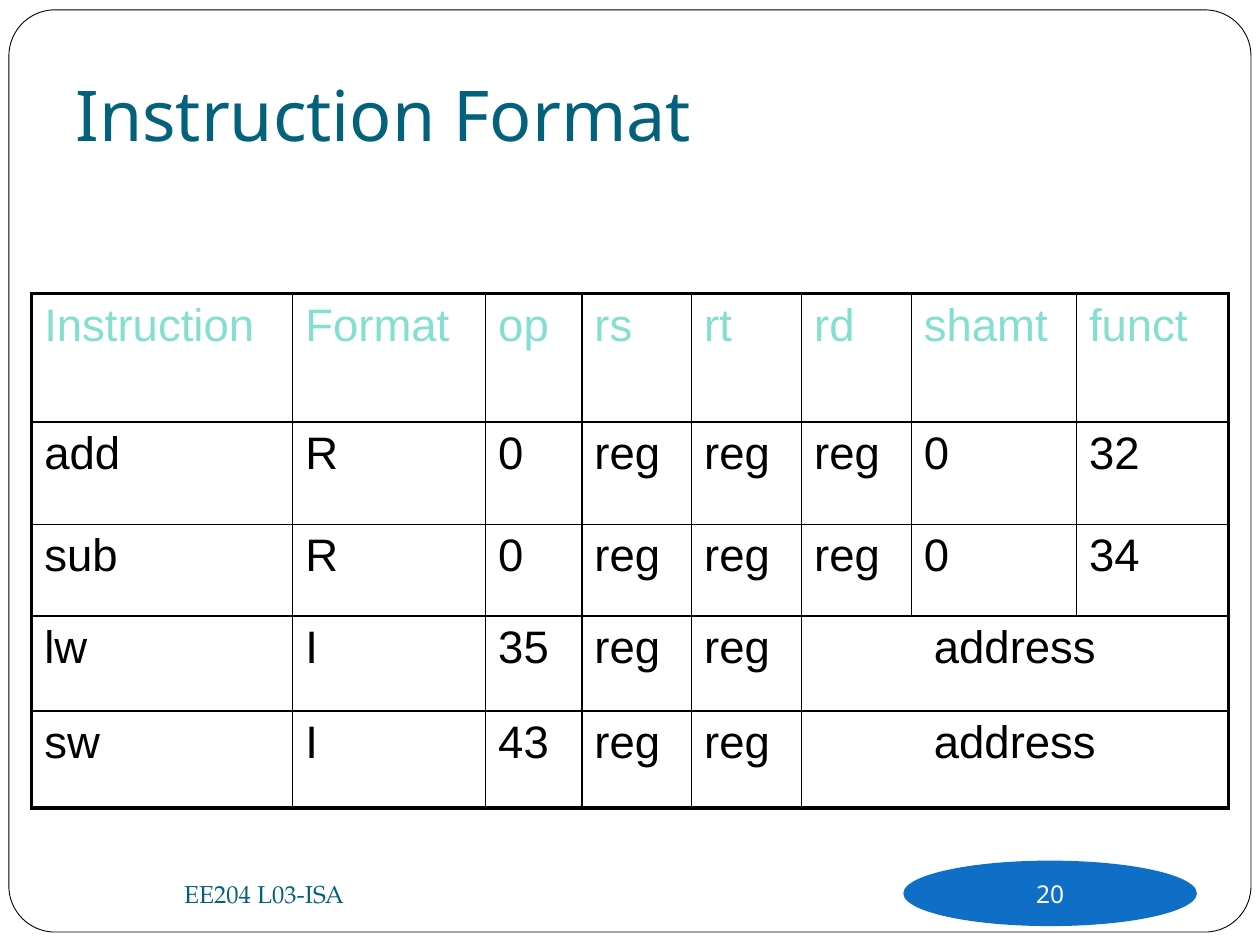
from lxml.etree import SubElement
from pptx import Presentation
from pptx.dml.color import RGBColor
from pptx.enum.shapes import MSO_SHAPE
from pptx.enum.text import MSO_ANCHOR, PP_ALIGN
from pptx.oxml.ns import qn
from pptx.util import Cm, Pt

BLACK = RGBColor(0x00, 0x00, 0x00)
WHITE = RGBColor(0xFF, 0xFF, 0xFF)
TEAL = RGBColor(0x04, 0x61, 0x7B)
MINT = RGBColor(0x85, 0xDF, 0xD0)
BLUE = RGBColor(0x0F, 0x6F, 0xC6)

COLUMN_WIDTHS = [5.26, 3.89, 1.94, 2.21, 2.22, 2.21, 3.33, 3.06]
ROW_HEIGHTS = [2.59, 2.06, 1.85, 1.91, 1.96]
# A short row lets its last entry span the remaining columns
ROWS = [
    ["Instruction", "Format", "op", "rs", "rt", "rd", "shamt", "funct"],
    ["add", "R", "0", "reg", "reg", "reg", "0", "32"],
    ["sub", "R", "0", "reg", "reg", "reg", "0", "34"],
    ["lw", "I", "35", "reg", "reg", "address"],
    ["sw", "I", "43", "reg", "reg", "address"],
]
THICK, THIN = Pt(2.25), Pt(1)


def write_text(frame, text, size, font, color, align=PP_ALIGN.LEFT, anchor=MSO_ANCHOR.TOP,
               margins=(0.25, 0.13, 0.25, 0.13), wrap=True):
    """Fill a text frame; margins are left, top, right, bottom in centimetres."""
    frame.word_wrap = wrap
    frame.vertical_anchor = anchor
    (frame.margin_left, frame.margin_top,
     frame.margin_right, frame.margin_bottom) = [Cm(margin) for margin in margins]
    format_paragraph(frame.paragraphs[0], text, size, font, color, align)


def format_paragraph(paragraph, text, size, font, color, align):
    paragraph.alignment = align
    run = paragraph.add_run()
    run.text = text
    run.font.size = Pt(size)
    run.font.name = font
    run.font.color.rgb = color


def add_frame(slide):
    """Rounded page frame, kept behind everything else."""
    shape = slide.shapes.add_shape(MSO_SHAPE.ROUNDED_RECTANGLE,
                                   Cm(0.18), Cm(0.2), Cm(25.04), Cm(18.59))
    shape.adjustments[0] = 0.05
    shape.shadow.inherit = False
    shape.fill.solid()
    shape.fill.fore_color.rgb = WHITE
    shape.line.color.rgb = BLACK
    shape.line.width = Pt(0.5)
    slide.shapes.element.insert(2, shape.element)


def set_title(slide, text):
    title = slide.shapes.title
    title.left, title.top, title.width, title.height = Cm(1.27), Cm(0.2), Cm(22.86), Cm(3.18)
    write_text(title.text_frame, text, 40, "Noto Sans", TEAL, anchor=MSO_ANCHOR.BOTTOM,
               margins=(0.25, 0.13, 0.25, 0.25))


def set_borders(cell, **widths):
    """Draw black cell edges; the keywords come in the order L, R, T, B."""
    properties = cell._tc.get_or_add_tcPr()
    for side, width in widths.items():
        line = SubElement(properties, qn(f"a:ln{side}"), w=str(width))
        fill = SubElement(line, qn("a:solidFill"))
        SubElement(fill, qn("a:srgbClr"), val=str(BLACK))


def add_format_table(slide):
    last_row, last_column = len(ROWS) - 1, len(COLUMN_WIDTHS) - 1
    table = slide.shapes.add_table(len(ROWS), len(COLUMN_WIDTHS), Cm(0.64), Cm(5.92),
                                   Cm(sum(COLUMN_WIDTHS)), Cm(sum(ROW_HEIGHTS))).table
    table.first_row = table.horz_banding = False
    for column, width in zip(table.columns, COLUMN_WIDTHS):
        column.width = Cm(width)
    for row, height in zip(table.rows, ROW_HEIGHTS):
        row.height = Cm(height)

    for i, texts in enumerate(ROWS):
        top = THICK if i == 0 else THIN
        bottom = THICK if i == last_row else THIN
        for j, text in enumerate(texts):
            cell = table.cell(i, j)
            at_end = j == len(texts) - 1
            spans = at_end and j < last_column
            if spans:
                cell.merge(table.cell(i, last_column))
            set_borders(cell, L=THICK if j == 0 else THIN, R=THICK if at_end else THIN,
                        T=top, B=bottom)
            cell.fill.background()
            format_paragraph(cell.text_frame.paragraphs[0], text, 26, "Arial",
                             MINT if i == 0 else BLACK,
                             PP_ALIGN.CENTER if spans else PP_ALIGN.LEFT)
        # Outer edges of the cells covered by a span
        for j in range(len(texts), last_column + 1):
            cell = table.cell(i, j)
            right = {"R": THICK} if j == last_column else {}
            set_borders(cell, **right, T=top, B=bottom)
            cell.fill.background()


def add_footer(slide, text):
    box = slide.shapes.add_textbox(Cm(1.27), Cm(17.35), Cm(5.92), Cm(1.32))
    write_text(box.text_frame, text, 14, "TeX Gyre Pagella", TEAL,
               align=PP_ALIGN.RIGHT, anchor=MSO_ANCHOR.MIDDLE)


def add_page_number(slide, text):
    shape = slide.shapes.add_shape(MSO_SHAPE.OVAL, Cm(18.21), Cm(17.35), Cm(5.92), Cm(1.32))
    shape.shadow.inherit = False
    shape.fill.solid()
    shape.fill.fore_color.rgb = BLUE
    shape.line.fill.background()
    write_text(shape.text_frame, text, 14, "Noto Sans", WHITE, align=PP_ALIGN.CENTER,
               anchor=MSO_ANCHOR.MIDDLE, margins=(0, 0, 0, 0), wrap=False)


def main():
    presentation = Presentation()
    presentation.slide_width, presentation.slide_height = Cm(25.4), Cm(19.05)
    slide = presentation.slides.add_slide(presentation.slide_layouts[5])
    add_frame(slide)
    set_title(slide, "Instruction Format")
    add_format_table(slide)
    add_footer(slide, "EE204 L03-ISA")
    add_page_number(slide, "20")
    presentation.save("out.pptx")


if __name__ == "__main__":
    main()
